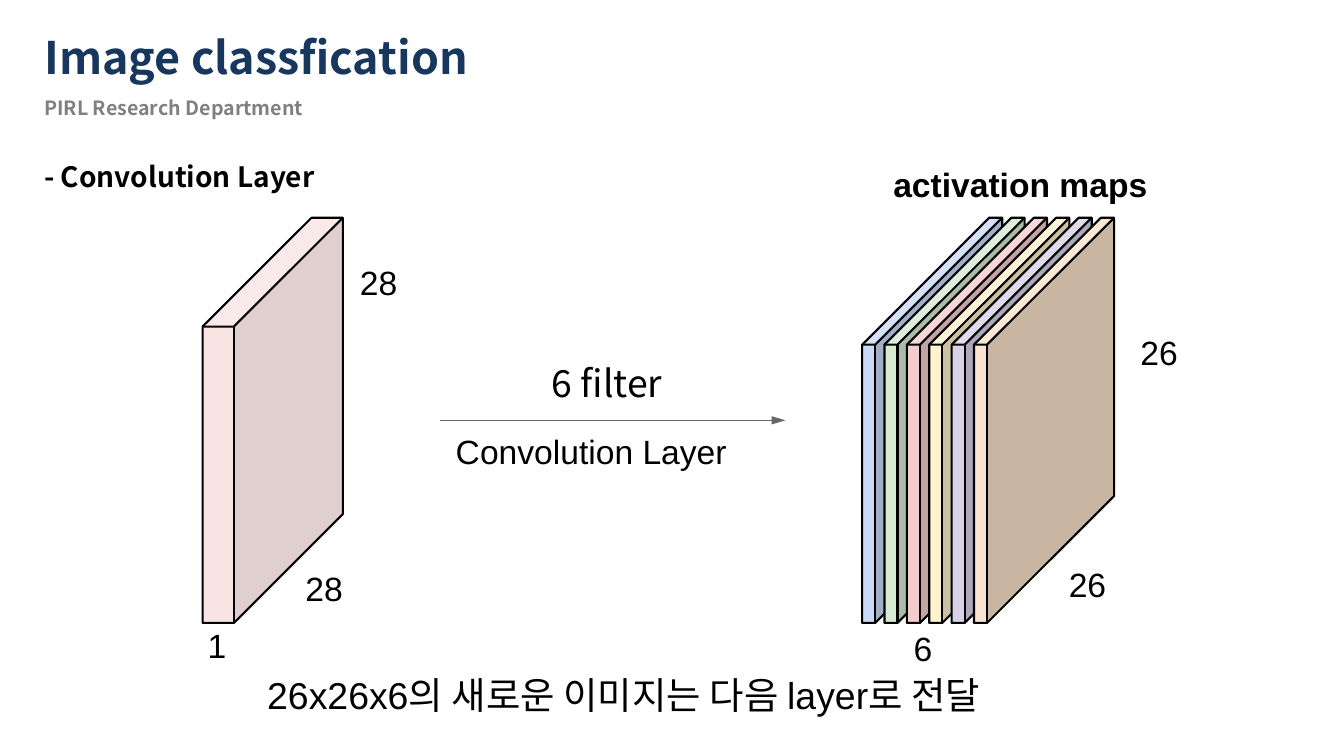
from dataclasses import dataclass

from lxml.etree import SubElement
from pptx import Presentation
from pptx.dml.color import RGBColor
from pptx.enum.shapes import MSO_CONNECTOR
from pptx.enum.text import MSO_ANCHOR, MSO_AUTO_SIZE, PP_ALIGN
from pptx.oxml.ns import qn
from pptx.shapes.autoshape import Shape
from pptx.shapes.connector import Connector
from pptx.slide import Slide
from pptx.util import Inches, Pt

BLACK = RGBColor(0x00, 0x00, 0x00)
NAVY = RGBColor(0x17, 0x37, 0x5E)
GRAY = RGBColor(0x80, 0x80, 0x80)
ARROW_GRAY = RGBColor(0x66, 0x66, 0x66)

ARIAL = "Arial"
NOTO = "Noto Sans CJK KR"
LABEL_INSETS = (0.02, 0.02, 0, 0)
HEADING_INSETS = (0.1, 0.05, 0.1, 0.05)

SLAB_TOP = 2.16
SLAB_BOTTOM = 6.18
FIRST_MAP_LEFT = 8.55
LAST_MAP_LEFT = 9.66

Point = tuple[float, float]


@dataclass(frozen=True)
class Shades:
    front: RGBColor
    side: RGBColor
    top: RGBColor


@dataclass(frozen=True)
class Slab:
    left: float
    thickness: float
    depth: float
    shades: Shades
    opacity: int = 100


@dataclass(frozen=True)
class Label:
    text: str
    left: float
    top: float
    width: float
    height: float
    size: float = 24
    font: str = ARIAL
    color: RGBColor = BLACK
    bold: bool = False
    insets: tuple[float, float, float, float] = LABEL_INSETS
    anchor: MSO_ANCHOR = MSO_ANCHOR.TOP


PINK = Shades(RGBColor(0xF4, 0xCC, 0xCC), RGBColor(0xC3, 0xA3, 0xA3), RGBColor(0xF6, 0xD6, 0xD6))
MAP_SHADES = [
    Shades(RGBColor(0xC8, 0xDA, 0xF7), RGBColor(0xA0, 0xAE, 0xC6), RGBColor(0xD3, 0xE1, 0xF9)),
    Shades(RGBColor(0xD8, 0xE9, 0xD3), RGBColor(0xAC, 0xBA, 0xA8), RGBColor(0xDF, 0xED, 0xDB)),
    PINK,
    Shades(RGBColor(0xFF, 0xF2, 0xCC), RGBColor(0xCA, 0xC1, 0xA3), RGBColor(0xFF, 0xF4, 0xD6)),
    Shades(RGBColor(0xD8, 0xD1, 0xE8), RGBColor(0xAC, 0xA7, 0xBA), RGBColor(0xDF, 0xDB, 0xED)),
    Shades(RGBColor(0xFB, 0xE4, 0xCD), RGBColor(0xC8, 0xB6, 0xA3), RGBColor(0xFB, 0xE9, 0xD6)),
]
INPUT_IMAGE = Slab(2.01, 0.31, 1.08, PINK, opacity=52)
MAP_PITCH = (LAST_MAP_LEFT - FIRST_MAP_LEFT) / (len(MAP_SHADES) - 1)
ACTIVATION_MAPS = [
    Slab(FIRST_MAP_LEFT + index * MAP_PITCH, 0.13, 1.26, shades)
    for index, shades in enumerate(MAP_SHADES)
]

TITLE = Label("Image classfication", 0.34, 0.24, 6.23, 0.64, 32, NOTO, NAVY, True, HEADING_INSETS)
LABELS = [
    Label("PIRL Research Department", 0.34, 0.9, 6.03, 0.22, 14, NOTO, GRAY, True, HEADING_INSETS),
    Label("- Convolution Layer", 0.34, 1.53, 8.32, 0.44, 20, NOTO, BLACK, True, HEADING_INSETS),
    Label("28", 3.01, 5.61, 0.41, 0.42),
    Label("28", 3.55, 2.58, 0.41, 0.42),
    Label("1", 2.04, 6.18, 0.22, 0.42),
    Label("6 filter", 5.45, 3.55, 1.19, 0.47, 26.7, NOTO, anchor=MSO_ANCHOR.MIDDLE),
    Label("Convolution Layer", 4.5, 4.25, 2.72, 0.42),
    Label("activation maps", 8.84, 1.61, 2.56, 0.42, bold=True),
    Label("6", 9.04, 6.21, 0.22, 0.42),
    Label("26", 10.58, 5.57, 0.41, 0.42),
    Label("26", 11.29, 3.27, 0.41, 0.42),
    Label("26x26x6의 새로운 이미지는 다음 layer로 전달", 2.63, 6.65, 7.59, 0.47, 26.7),
]


def write_label(shape: Shape, label: Label) -> None:
    """Place a text shape and give it the label's text and format."""
    shape.left, shape.top = Inches(label.left), Inches(label.top)
    shape.width, shape.height = Inches(label.width), Inches(label.height)
    frame = shape.text_frame
    frame.text = label.text
    frame.word_wrap = True
    frame.auto_size = MSO_AUTO_SIZE.NONE
    frame.vertical_anchor = label.anchor
    left, top, right, bottom = map(Inches, label.insets)
    frame.margin_left, frame.margin_top = left, top
    frame.margin_right, frame.margin_bottom = right, bottom
    paragraph = frame.paragraphs[0]
    paragraph.alignment = PP_ALIGN.LEFT
    font = paragraph.runs[0].font
    font.name, font.size, font.bold = label.font, Pt(label.size), label.bold
    font.color.rgb = label.color


def draw_outline(slide: Slide, points: list[Point], closed: bool = True) -> Shape:
    """Draw an unfilled black outline through the points."""
    corners = [(Inches(x), Inches(y)) for x, y in points]
    builder = slide.shapes.build_freeform(*corners[0])
    builder.add_line_segments(corners[1:], close=closed)
    shape = builder.convert_to_shape()
    shape.shadow.inherit = False
    shape.fill.background()
    shape.line.color.rgb = BLACK
    shape.line.width = Pt(1.5)
    return shape


def draw_face(slide: Slide, points: list[Point], color: RGBColor, opacity: int) -> None:
    face = draw_outline(slide, points)
    face.line.fill.background()
    face.fill.solid()
    face.fill.fore_color.rgb = color
    if opacity < 100:
        color_element = face.element.spPr.find(qn("a:solidFill")).find(qn("a:srgbClr"))
        SubElement(color_element, qn("a:alpha"), val=str(opacity * 1000))


def draw_line(slide: Slide, start: Point, end: Point, color: RGBColor, width: float) -> Connector:
    line = slide.shapes.add_connector(MSO_CONNECTOR.STRAIGHT, *map(Inches, start + end))
    line.line.color.rgb = color
    line.line.width = Pt(width)
    SubElement(line.element.spPr, qn("a:effectLst"))
    return line


def draw_slab(slide: Slide, slab: Slab) -> None:
    """Draw three shaded faces, then the silhouette and the inner edges."""
    left, edge = slab.left, slab.left + slab.thickness
    shoulder = SLAB_TOP + slab.depth
    front_left, front_right = (left, shoulder), (edge, shoulder)
    base_left, base_right = (left, SLAB_BOTTOM), (edge, SLAB_BOTTOM)
    back_left, back_right = (left + slab.depth, SLAB_TOP), (edge + slab.depth, SLAB_TOP)
    back_base = (edge + slab.depth, SLAB_BOTTOM - slab.depth)

    faces = [
        ([front_left, front_right, base_right, base_left], slab.shades.front),
        ([base_right, front_right, back_right, back_base], slab.shades.side),
        ([front_right, front_left, back_left, back_right], slab.shades.top),
    ]
    for points, color in faces:
        draw_face(slide, points, color, slab.opacity)
    draw_outline(slide, [front_left, back_left, back_right, back_base, base_right, base_left])
    draw_outline(slide, [front_left, front_right, back_right], closed=False)
    draw_line(slide, front_right, base_right, BLACK, 1.5)


def main() -> None:
    presentation = Presentation()
    presentation.slide_width, presentation.slide_height = Inches(13.33), Inches(7.5)
    slide = presentation.slides.add_slide(presentation.slide_layouts[5])
    write_label(slide.shapes.title, TITLE)
    for slab in [INPUT_IMAGE, *ACTIVATION_MAPS]:
        draw_slab(slide, slab)
    arrow = draw_line(slide, (4.36, 4.17), (7.79, 4.17), ARROW_GRAY, 0.75)
    SubElement(arrow.line._get_or_add_ln(), qn("a:tailEnd"), type="triangle", w="med", len="lg")
    for label in LABELS:
        write_label(slide.shapes.add_textbox(0, 0, 0, 0), label)
    presentation.save("out.pptx")


if __name__ == "__main__":
    main()
